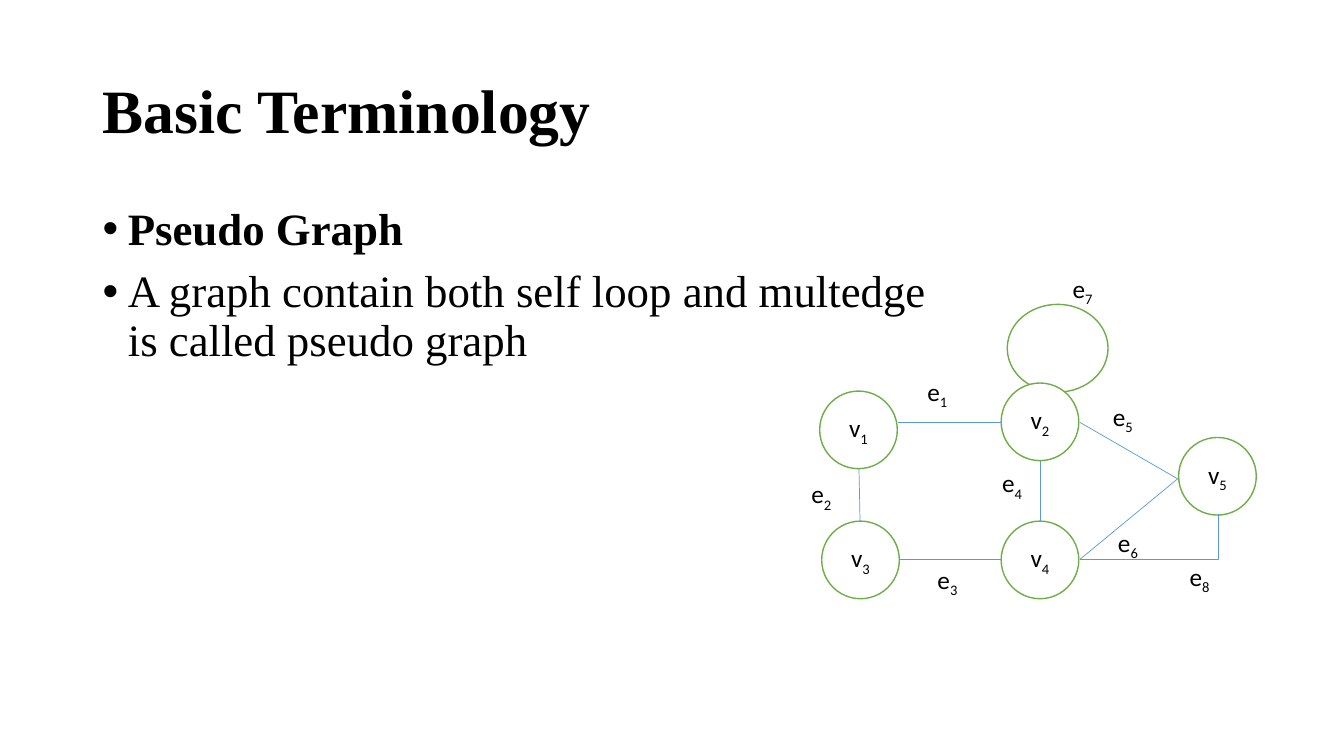
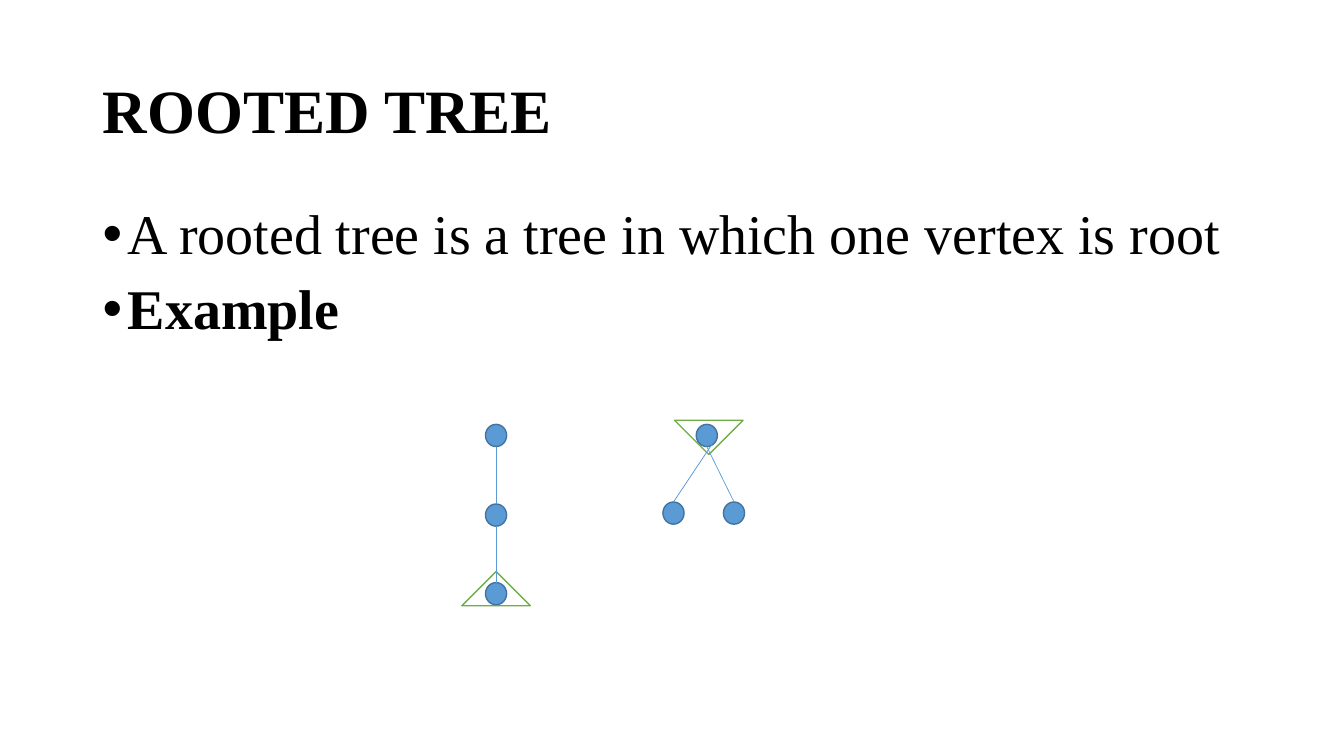
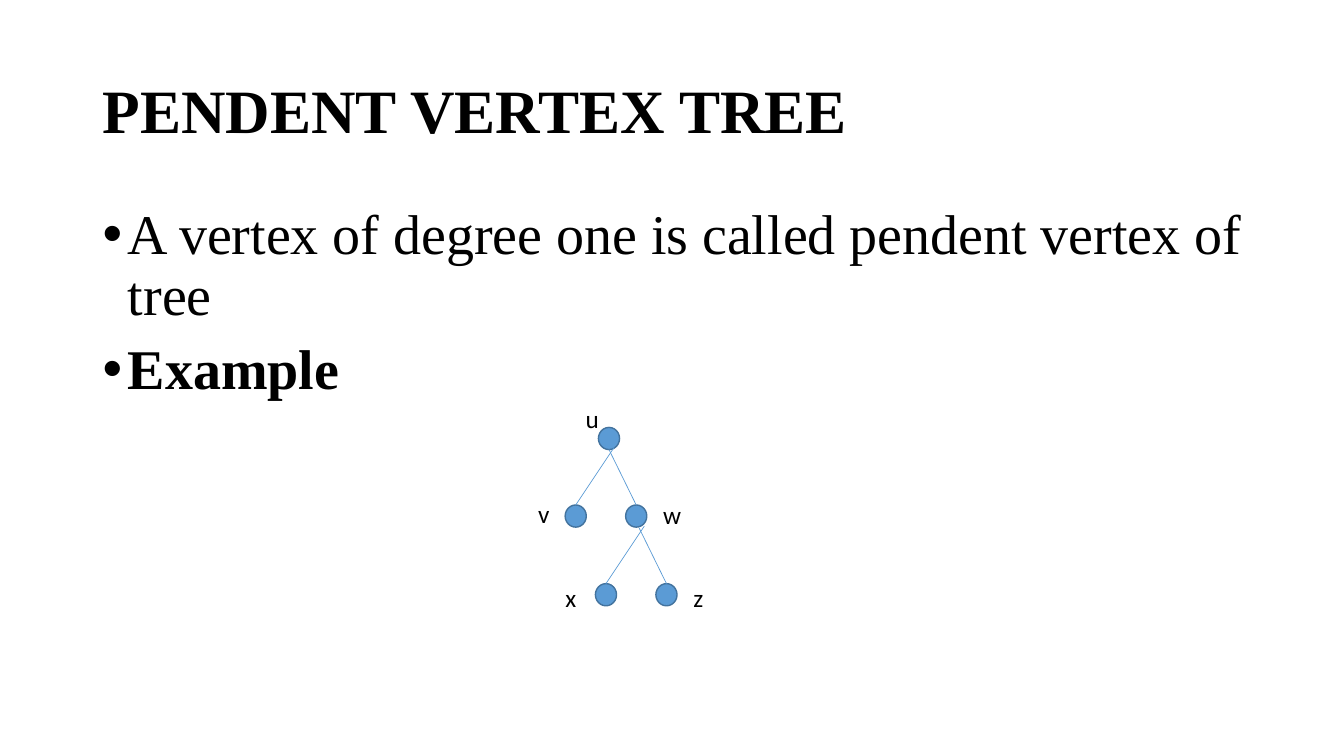
from lxml import etree
from pptx import Presentation
from pptx.dml.color import RGBColor
from pptx.enum.shapes import MSO_CONNECTOR, MSO_SHAPE
from pptx.enum.text import MSO_ANCHOR, MSO_AUTO_SIZE, PP_ALIGN
from pptx.oxml.ns import qn
from pptx.util import Inches, Pt

RING = MSO_SHAPE.FLOWCHART_CONNECTOR
TRIANGLE = MSO_SHAPE.ISOSCELES_TRIANGLE
STRAIGHT, ELBOW = MSO_CONNECTOR.STRAIGHT, MSO_CONNECTOR.ELBOW
LEFT, CENTER = PP_ALIGN.LEFT, PP_ALIGN.CENTER
MIDDLE, TOP = MSO_ANCHOR.MIDDLE, MSO_ANCHOR.TOP

COLORS = {
    "text": "000000",
    "paper": "FFFFFF",
    "green": "70AD47",
    "blue": "5B9BD5",
    "dark_blue": "43739E",
}
SERIF, SANS = "Times New Roman", "Calibri"
NODE, DOT_W, DOT_H = 0.77, 0.21, 0.22


def color(name):
    return RGBColor.from_string(COLORS[name])


def write(tf, paragraphs, size=18, font=SANS, align=LEFT, anchor=TOP,
          spacing=1.0, bullet=False, wrap=True):
    tf.word_wrap = wrap
    tf.auto_size = MSO_AUTO_SIZE.NONE
    tf.vertical_anchor = anchor
    for i, (text, bold) in enumerate(paragraphs):
        p = tf.add_paragraph() if i else tf.paragraphs[0]
        p.alignment = align
        p.line_spacing = spacing
        if i:
            p.space_before = Pt(10)
        if bullet:
            pPr = p._p.get_or_add_pPr()
            pPr.set("marL", str(Inches(0.25)))
            pPr.set("indent", str(-Inches(0.25)))
            etree.SubElement(pPr, qn("a:buFont")).set("typeface", "Arial")
            etree.SubElement(pPr, qn("a:buChar")).set("char", "•")
        for n, line in enumerate(text.split("\n")):
            if n:
                p.add_line_break()
            for k, part in enumerate(line.split("_")):
                r = p.add_run()
                r.text = part
                r.font.size = Pt(size)
                r.font.name = font
                r.font.bold = bold
                r.font.color.rgb = color("text")
                if k:
                    r._r.get_or_add_rPr().set("baseline", "-25000")


pseudo_graph = {
    "title": "Basic Terminology",
    "body": [("Pseudo Graph", True),
             ("A graph contain both self loop and multedge\nis called pseudo graph", False)],
    "size": 32,
    "outlines": [(RING, 9.99, 3.02, 1, 0.87, 0)],
    "nodes": [("v_1", 8.13, 3.88), ("v_2", 9.93, 3.8), ("v_3", 8.15, 5.17),
              ("v_4", 9.93, 5.17), ("v_5", 11.69, 4.34)],
    "dots": [],
    "forks": [],
    "lines": [(STRAIGHT, 8.91, 4.19, 9.93, 4.19), (STRAIGHT, 8.52, 4.65, 8.53, 5.17),
              (STRAIGHT, 8.92, 5.55, 9.93, 5.55), (STRAIGHT, 10.32, 5.17, 10.32, 4.57),
              (STRAIGHT, 11.68, 4.75, 10.71, 5.55), (STRAIGHT, 10.71, 4.19, 11.68, 4.75),
              (ELBOW, 10.71, 5.55, 12.08, 5.1)],
    "labels": [("e_1", 9.1, 3.68), ("e_2", 7.95, 4.7), ("e_3", 9.2, 5.55),
               ("e_4", 9.84, 4.59), ("e_5", 10.94, 3.93), ("e_6", 10.99, 5.18),
               ("e_7", 10.54, 2.66), ("e_8", 11.7, 5.52)],
}
rooted_tree = {
    "title": "ROOTED TREE",
    "body": [("A rooted tree is a tree in which one vertex is root", False), ("Example", True)],
    "size": 40,
    "outlines": [(TRIANGLE, 6.69, 4.17, 0.68, 0.34, 180), (TRIANGLE, 4.58, 5.67, 0.68, 0.34, 0)],
    "nodes": [],
    "dots": [(4.92, 4.32), (4.92, 5.11), (4.92, 5.89), (7.01, 4.32)],
    "forks": [(7.01, 4.32)],
    "lines": [(STRAIGHT, 4.92, 4.43, 4.92, 5), (STRAIGHT, 4.92, 5.22, 4.92, 5.78)],
    "labels": [],
}
pendent_tree = {
    "title": "PENDENT VERTEX TREE",
    "body": [("A vertex of degree one is called pendent vertex of tree", False), ("Example", True)],
    "size": 40,
    "outlines": [],
    "nodes": [],
    "dots": [(6.04, 4.35)],
    "forks": [(6.04, 4.35), (6.34, 5.13)],
    "lines": [],
    "labels": [("u", 5.71, 3.95), ("v", 5.24, 4.89), ("w", 6.48, 4.9),
               ("x", 5.51, 5.73), ("z", 6.78, 5.73)],
}

prs = Presentation()
prs.slide_width, prs.slide_height = Inches(13.33), Inches(7.5)

for page in (pseudo_graph, rooted_tree, pendent_tree):
    s = prs.slides.add_slide(prs.slide_layouts[5])
    title = s.shapes.title
    title.left, title.top = Inches(0.92), Inches(0.4)
    title.width, title.height = Inches(11.5), Inches(1.45)
    write(title.text_frame, [(page["title"], True)], size=44, font=SERIF,
          anchor=MIDDLE, spacing=0.9)
    body = s.shapes.add_textbox(Inches(0.92), Inches(2), Inches(11.5), Inches(4.76))
    write(body.text_frame, page["body"], size=page["size"], font=SERIF,
          spacing=0.9, bullet=True)

    dots, lines = list(page["dots"]), list(page["lines"])
    for x, y in page["forks"]:
        dots += [(x - 0.33, y + 0.77), (x + 0.27, y + 0.77)]
        lines += [(STRAIGHT, x + 0.05, y + 0.09, x - 0.33, y + 0.66),
                  (STRAIGHT, x, y + 0.11, x + 0.27, y + 0.66)]

    shapes = [(*outline, "paper", "green", "") for outline in page["outlines"]]
    shapes += [(RING, x, y, NODE, NODE, 0, "paper", "green", text)
               for text, x, y in page["nodes"]]
    shapes += [(RING, x - DOT_W / 2, y - DOT_H / 2, DOT_W, DOT_H, 0, "blue", "dark_blue", "")
               for x, y in dots]
    for kind, x, y, w, h, turn, fill, edge, text in shapes:
        sp = s.shapes.add_shape(kind, Inches(x), Inches(y), Inches(w), Inches(h))
        sp.rotation = turn
        sp.shadow.inherit = False
        sp.fill.solid()
        sp.fill.fore_color.rgb = color(fill)
        sp.line.color.rgb = color(edge)
        sp.line.width = Pt(1)
        if text:
            write(sp.text_frame, [(text, False)], align=CENTER, anchor=MIDDLE)

    for kind, x1, y1, x2, y2 in lines:
        line = s.shapes.add_connector(kind, Inches(x1), Inches(y1), Inches(x2), Inches(y2))
        line.line.color.rgb = color("blue")
        line.line.width = Pt(0.5)
        spPr = line._element.spPr
        etree.SubElement(spPr, qn("a:effectLst"))
        if kind == ELBOW:
            spPr.find(qn("a:prstGeom")).set("prst", "bentConnector2")

    for text, x, y in page["labels"]:
        label = s.shapes.add_textbox(Inches(x), Inches(y), Inches(0.5), Inches(0.4))
        write(label.text_frame, [(text, False)])

prs.save("out.pptx")
